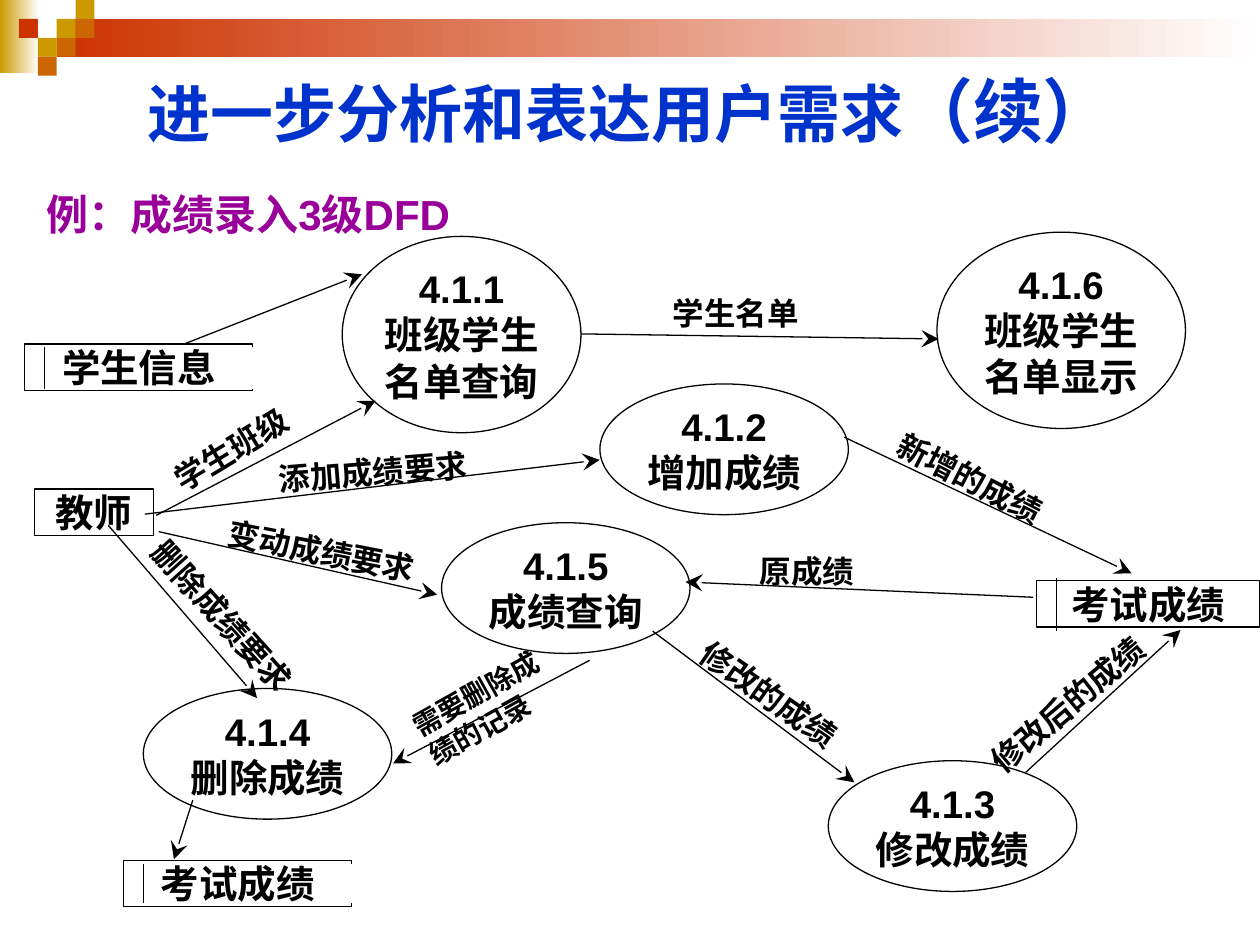
import pptx
import pptx.util
import pptx.dml.color
import pptx.enum.shapes
import pptx.enum.text
import lxml.etree

Pt = pptx.util.Pt
RGB = pptx.dml.color.RGBColor
SHAPE = pptx.enum.shapes.MSO_SHAPE
ALIGN = pptx.enum.text.PP_ALIGN
ANCHOR = pptx.enum.text.MSO_ANCHOR

BLACK = RGB(0, 0, 0)
WHITE = RGB(255, 255, 255)
BLUE = RGB(0x00, 0x33, 0xCC)
PURPLE = RGB(0x99, 0x00, 0x99)
GOLD = RGB(0xCC, 0x99, 0x00)
RED = RGB(0xCC, 0x33, 0x00)
ORANGE = RGB(0xCC, 0x66, 0x00)

TITLE = [("进一步分析和表达用户需求", 36), ("（续）", 40)]
LEAD = "例：成绩录入3级DFD"

# left, top, width, height, colour at the left end
BANDS = [(0, 0, 22.3, 41.8, GOLD), (32.4, 10.8, 687.6, 21.6, RED)]
# column, row, colour
TILE = 10.8
TILES = [(3, 1, GOLD), (4, 0, GOLD), (4, 1, ORANGE), (2, 2, GOLD),
         (1, 1, RED), (3, 2, ORANGE), (2, 3, ORANGE)]

# number, name, left, top, width, height
STEPS = [
    ("4.1.1", "班级学生名单查询", 195.6, 135.1, 136.4, 112.2),
    ("4.1.2", "增加成绩", 342.8, 219.4, 142, 74.7),
    ("4.1.3", "修改成绩", 473.3, 434.7, 142, 74.7),
    ("4.1.4", "删除成绩", 81.9, 393.4, 142, 74.7),
    ("4.1.5", "成绩查询", 252.3, 298.7, 142, 74.7),
    ("4.1.6", "班级学生名单显示", 535.4, 132.7, 142, 112.2),
]

# name, left, top, width, bar start and end below the top, open right side
BOX = 26.6
STORES = [
    ("学生信息", 14.2, 196.6, 130.3, 1.5, 25.5, True),
    ("考试成绩", 70.7, 491.6, 130.3, 2, 24.5, True),
    ("考试成绩", 592.4, 331.7, 127.4, -1.5, 29, False),
]
TEACHER = ("教师", 19.6, 279.4, 68.2)

# start, tip, then the label: text, left, top, width, turn, size
FLOWS = [
    ((105.2, 196.6), (206.8, 156.7), None),
    ((110.2, 457.2), (99.4, 491), None),
    ((331.9, 190.8), (536.4, 193.7), ("学生名单", 384.5, 167.8, 100.8, 0, 18)),
    ((89.3, 294.5), (214.6, 229), ("学生班级", 95, 241.9, 87.8, -31.2, 18)),
    ((82.8, 293.8), (342.7, 262.8), ("添加成绩要求", 159.1, 258.5, 115.9, -4.6, 18)),
    ((90.7, 303.8), (249.8, 339.8), ("变动成绩要求", 129.6, 305.3, 122.4, 11.1, 18)),
    ((61.9, 300.2), (146.9, 398.9), ("删除成绩要求", 69.8, 348.5, 128.2, 48, 18)),
    ((482.4, 249.8), (646.6, 327.6), ("新增的成绩", 508.3, 267.1, 110.9, 27.2, 18)),
    ((590.4, 341.3), (391.7, 332.6), ("原成绩", 434.2, 315.4, 98.6, 0, 18)),
    ((373, 360.7), (488.2, 447.1), ("修改的成绩", 393.1, 390.2, 104.4, 34.9, 18)),
    ((586.1, 441.4), (674.6, 360), ("修改后的成绩", 555.1, 388.8, 116.6, -40.1, 18)),
    ((337, 377.3), (224.6, 436.3), ("需要删除成绩的记录", 236.2, 383.8, 85.7, -29.3, 16)),
]


def write(frame, paras, color=BLACK, align=ALIGN.LEFT, anchor=ANCHOR.TOP,
          inset=(0, 0)):
    """Fill a frame; each paragraph is a list of (text, size) runs."""
    frame.word_wrap = True
    frame.vertical_anchor = anchor
    frame.margin_left = frame.margin_right = Pt(inset[0])
    frame.margin_top = frame.margin_bottom = Pt(inset[1])
    for i, runs in enumerate(paras):
        para = frame.add_paragraph() if i else frame.paragraphs[0]
        para.alignment = align
        for text, size in runs:
            run = para.add_run()
            run.text = text
            font = run.font
            font.name, font.size, font.bold = "Arial", Pt(size), True
            font.color.rgb = color


def shape(slide, kind, *rect):
    item = slide.shapes.add_shape(kind, *map(Pt, rect))
    item.shadow.inherit = False
    return item


def node(slide, kind, lines, *rect):
    """Add an outlined shape with centred lines of text."""
    item = shape(slide, kind, *rect)
    item.fill.background()
    item.line.color.rgb = BLACK
    item.line.width = Pt(0.75)
    write(item.text_frame, [[(text, 22)] for text in lines],
          align=ALIGN.CENTER, anchor=ANCHOR.MIDDLE)


def line(slide, start, end, color=BLACK, width=0.75, arrow=False):
    item = slide.shapes.add_connector(
        pptx.enum.shapes.MSO_CONNECTOR.STRAIGHT, *map(Pt, start + end))
    item.line.color.rgb = color
    item.line.width = Pt(width)
    ns = "{http://schemas.openxmlformats.org/drawingml/2006/main}"
    if arrow:
        lxml.etree.SubElement(item.line._get_or_add_ln(), ns + "tailEnd",
                              type="stealth", w="lg", len="lg")
    lxml.etree.SubElement(item._element.spPr, ns + "effectLst")


def label(slide, text, left, top, width, turn, size):
    rows = 2 if size < 18 else 1
    box = slide.shapes.add_textbox(*map(Pt, (left, top, width, rows * size * 1.2)))
    box.rotation = turn
    write(box.text_frame, [[(text, size)]])


def banner(slide):
    for *rect, color in BANDS:
        band = shape(slide, SHAPE.RECTANGLE, *rect)
        band.line.fill.background()
        band.fill.gradient()
        band.fill.gradient_angle = 0
        for stop, tone in zip(band.fill.gradient_stops, (color, WHITE)):
            stop.color.rgb = tone
    for col, row, color in TILES:
        tile = shape(slide, SHAPE.RECTANGLE, col * TILE, row * TILE, TILE, TILE)
        tile.line.fill.background()
        tile.fill.solid()
        tile.fill.fore_color.rgb = color


def heading(slide):
    title = slide.shapes.title
    title.left, title.top, title.width, title.height = map(Pt, (36, 36, 648, 52.6))
    write(title.text_frame, [TITLE], color=BLUE, align=ALIGN.CENTER,
          anchor=ANCHOR.MIDDLE, inset=(7.2, 3.6))
    lead = slide.shapes.add_textbox(*map(Pt, (19.4, 100, 300, 45.4)))
    write(lead.text_frame, [[(LEAD, 24)]], color=PURPLE, inset=(7.2, 3.6))
    para = lead.text_frame.paragraphs[0]
    para.line_spacing = 1.15
    para.space_before = Pt(4.5)


def main():
    deck = pptx.Presentation()
    deck.slide_width, deck.slide_height = Pt(720), Pt(540)
    slide = deck.slides.add_slide(deck.slide_layouts[5])
    banner(slide)
    heading(slide)
    for name, left, top, width, low, high, gap in STORES:
        node(slide, SHAPE.RECTANGLE, [name], left, top, width, BOX)
        bar, right = left + 11.3, left + width
        line(slide, (bar, top + low), (bar, top + high))
        if gap:
            line(slide, (right, top + low), (right, top + high), WHITE, 3)
    name, *rect = TEACHER
    node(slide, SHAPE.RECTANGLE, [name], *rect, BOX)
    for start, tip, note in FLOWS:
        line(slide, start, tip, arrow=True)
        if note:
            label(slide, *note)
    for code, name, *rect in STEPS:
        node(slide, SHAPE.OVAL, [code, name], *rect)
    deck.save("out.pptx")


if __name__ == "__main__":
    main()
